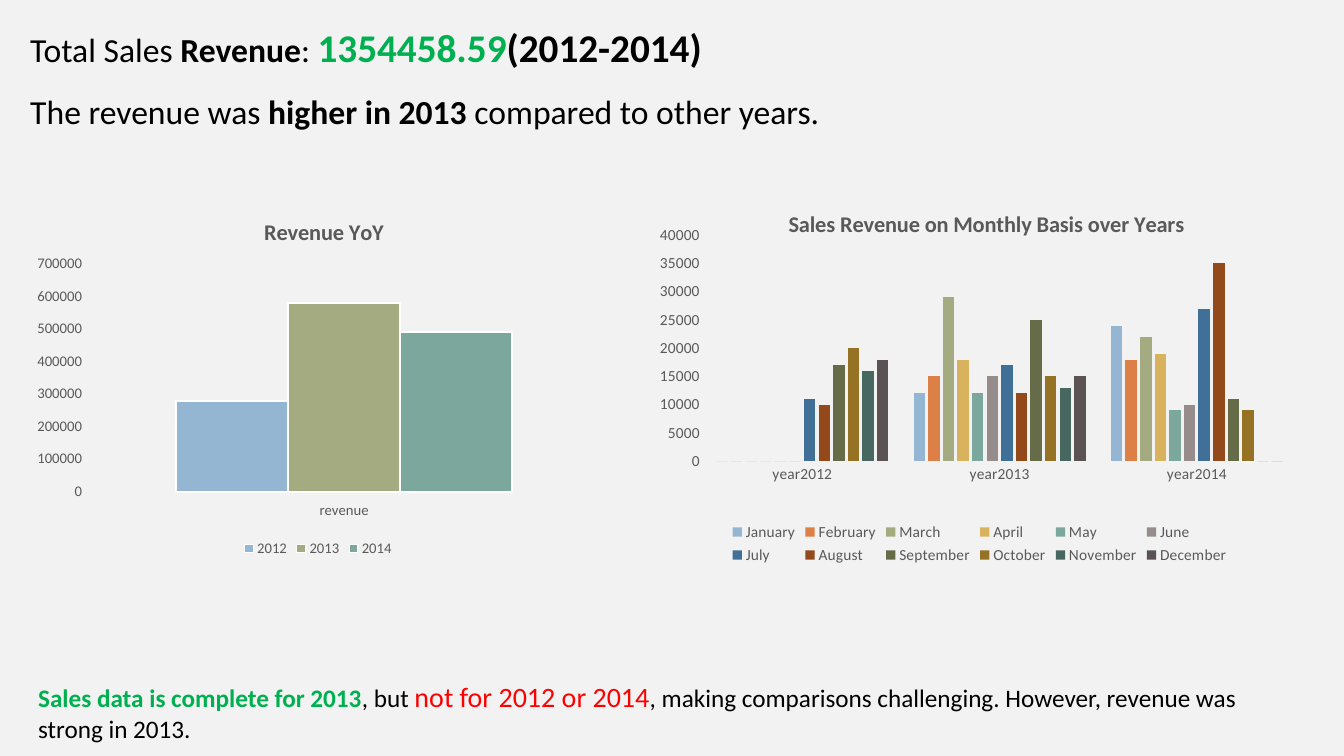
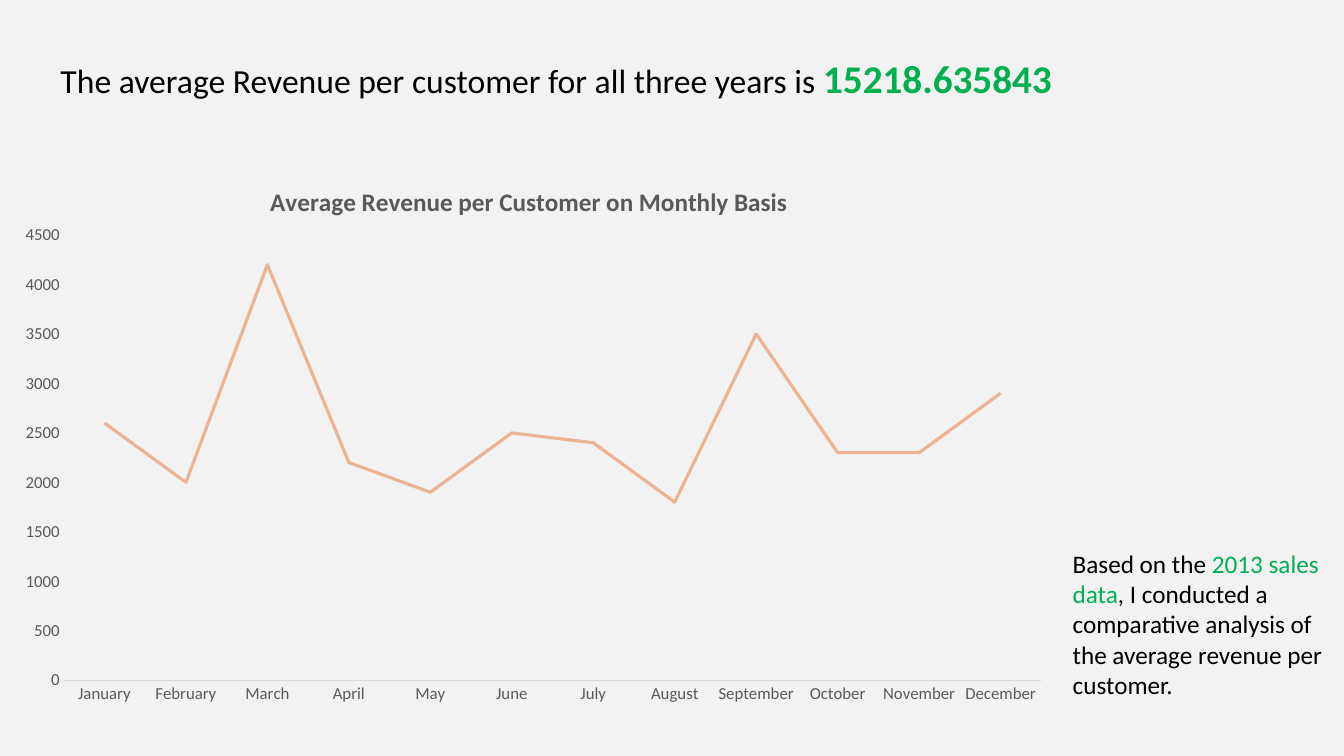
from dataclasses import dataclass

from pptx import Presentation
from pptx.chart.data import CategoryChartData
from pptx.dml.color import RGBColor
from pptx.enum.chart import XL_CHART_TYPE, XL_LEGEND_POSITION, XL_TICK_MARK
from pptx.enum.text import MSO_ANCHOR, PP_ALIGN
from pptx.oxml import parse_xml
from pptx.oxml.ns import nsdecls
from pptx.util import Inches, Pt


@dataclass(frozen=True)
class Theme:
    font: str = "Calibri"
    back: str = "F2F2F2"
    ink: str = "000000"
    good: str = "00B050"
    bad: str = "FF0000"
    gray: str = "595959"
    rule: str = "D9D9D9"
    white: str = "FFFFFF"
    peach: str = "EBB391"
    head: int = 24
    big: int = 28
    body: int = 18
    mid: int = 20


T = Theme()
MONTHS = ["January", "February", "March", "April", "May", "June", "July",
          "August", "September", "October", "November", "December"]
HUES = ["94B6D2", "DD8047", "A5AB81", "D8B25C", "7BA79D", "968C8C",
        "407097", "94491B", "676C48", "957224", "466860", "5B5353"]
SALES = [
    [0, 0, 0, 0, 0, 0, 11000, 10000, 17000, 20000, 16000, 18000],
    [12000, 15000, 29000, 18000, 12000, 15000,
     17000, 12000, 25000, 15000, 13000, 15000],
    [24000, 18000, 22000, 19000, 9000, 10000,
     27000, 35000, 11000, 9000, 0, 0],
]
YEARLY = {"2012": [280000], "2013": [580000], "2014": [490000]}
MEANS = [2600, 2000, 4200, 2200, 1900, 2500,
         2400, 1800, 3500, 2300, 2300, 2900]


def style(font, size, color, bold=False):
    font.name = T.font
    font.size = Pt(size)
    font.bold = bold
    font.color.rgb = RGBColor.from_string(color)


def write(shape, paras, space=1.0):
    frame = shape.text_frame
    frame.word_wrap = True
    frame.vertical_anchor = MSO_ANCHOR.TOP
    for num, runs in enumerate(paras):
        para = frame.add_paragraph() if num else frame.paragraphs[0]
        para.alignment = PP_ALIGN.LEFT
        para.line_spacing = space
        for text, *look in runs:
            run = para.add_run()
            run.text = text
            style(run.font, *look)


def head(slide, box, paras, space=1.0):
    title = slide.shapes.title
    title.left, title.top, title.width, title.height = map(Inches, box)
    write(title, paras, space)


def note(slide, box, runs):
    write(slide.shapes.add_textbox(*map(Inches, box)), [runs])


def place(parent, index, **spots):
    for old in parent.xpath("c:layout"):
        parent.remove(old)
    modes = "".join(f'<c:{key}Mode val="edge"/>' for key in "xy")
    sizes = "".join(f'<c:{key} val="{val}"/>' for key, val in spots.items())
    target = '<c:layoutTarget val="inner"/>' if "w" in spots else ""
    parent.insert(index, parse_xml(
        f'<c:layout {nsdecls("c")}><c:manualLayout>{target}{modes}{sizes}'
        '</c:manualLayout></c:layout>'))


def graph(slide, kind, box, cats, series, title, size, spot, plot, top, step,
          tick=XL_TICK_MARK.NONE):
    data = CategoryChartData()
    data.categories = cats
    for name, vals in series.items():
        data.add_series(name, vals)
    chart = slide.shapes.add_chart(kind, *map(Inches, box), data).chart
    text, points = title
    style(chart.font, size, T.ink)
    chart.has_title = True
    run = chart.chart_title.text_frame.paragraphs[0].add_run()
    run.text = text
    style(run.font, points, T.gray, True)
    root = chart.element
    place(root.xpath("c:chart/c:title")[0], 1, **dict(zip("xy", spot)))
    place(root.xpath("c:chart/c:plotArea")[0], 0, **dict(zip("xywh", plot)))
    for axis in (chart.category_axis, chart.value_axis):
        axis.has_major_gridlines = False
        axis.major_tick_mark = tick
        axis.minor_tick_mark = XL_TICK_MARK.NONE
        axis.format.line.fill.background()
        style(axis.tick_labels.font, size, T.gray)
    axis = chart.value_axis
    axis.minimum_scale, axis.maximum_scale, axis.major_unit = 0, top, step
    chart.has_legend = False
    return chart


def stroke(line, color, width):
    line.color.rgb = RGBColor.from_string(color)
    line.width = Pt(width)


def bars(chart, hues, gap, lap, size):
    plot = chart.plots[0]
    plot.gap_width, plot.overlap = gap, lap
    plot.vary_by_categories = False
    for item, hue in zip(plot.series, hues):
        item.format.fill.solid()
        item.format.fill.fore_color.rgb = RGBColor.from_string(hue)
    chart.has_legend = True
    chart.legend.position = XL_LEGEND_POSITION.BOTTOM
    chart.legend.include_in_layout = False
    style(chart.legend.font, size, T.gray)


def totals(slide):
    head(slide, (0.2, -0.05, 8.42, 1.34), [
        [("Total Sales ", T.head, T.ink),
         ("Revenue", T.head, T.ink, True),
         (": ", T.head, T.ink),
         ("1354458.59", T.big, T.good, True),
         ("(2012-2014)", T.big, T.ink, True)],
        [("The revenue was ", T.head, T.ink),
         ("higher in 2013", T.head, T.ink, True),
         (" compared to other years.", T.head, T.ink)],
    ], 1.5)
    note(slide, (0.28, 6.69, 12.77, 0.74), [
        ("Sales data is complete for 2013", T.body, T.good, True),
        (", but ", T.body, T.ink),
        ("not for 2012 or 2014", T.mid, T.bad),
        (", making comparisons challenging. However, revenue was strong "
         "in 2013.", T.body, T.ink)])
    kind = XL_CHART_TYPE.COLUMN_CLUSTERED
    chart = graph(slide, kind, (0.28, 1.93, 5.75, 3.64), ["revenue"], YEARLY,
                  ("Revenue YoY", 16), 10.5, (0.4, 0.05),
                  (0.11, 0.19, 0.87, 0.62), 700000, 100000,
                  XL_TICK_MARK.OUTSIDE)
    bars(chart, HUES[0:5:2], 150, 0, 10.5)
    for item in chart.plots[0].series:
        stroke(item.format.line, T.white, 1.5)
    chart = graph(slide, kind, (6.38, 1.84, 6.67, 3.8),
                  ["year2012", "year2013", "year2014"],
                  dict(zip(MONTHS, zip(*SALES))),
                  ("Sales Revenue on Monthly Basis over Years", 16), 11,
                  (0.21, 0.05), (0.09, 0.13, 0.88, 0.59), 40000, 5000)
    bars(chart, HUES, 219, -27, 11)


def means(slide):
    chart = graph(slide, XL_CHART_TYPE.LINE, (0, 1.56, 10.54, 5.52), MONTHS,
                  {"Series 1": MEANS},
                  ("Average Revenue per Customer on Monthly Basis", 18), 12,
                  (0.25, 0.04), (0.06, 0.14, 0.92, 0.8), 4500, 500)
    stroke(chart.category_axis.format.line, T.rule, 0.75)
    item = chart.plots[0].series[0]
    item.smooth = False
    stroke(item.format.line, T.peach, 2.25)
    head(slide, (0.5, 0.49, 12.59, 0.98), [
        [("The average Revenue per customer for all three years is ",
          T.head, T.ink),
         ("15218.635843", T.big, T.good, True)]])
    note(slide, (10.54, 5.39, 2.79, 1.62), [
        ("Based on the ", T.body, T.ink),
        ("2013 sales data", T.body, T.good),
        (", I conducted a comparative analysis of the average revenue per "
         "customer.", T.body, T.ink)])


def main():
    deck = Presentation()
    deck.slide_width, deck.slide_height = Inches(13.33), Inches(7.5)
    fill = deck.slide_master.background.fill
    fill.solid()
    fill.fore_color.rgb = RGBColor.from_string(T.back)
    for build in (totals, means):
        build(deck.slides.add_slide(deck.slide_layouts[5]))
    deck.save("out.pptx")


if __name__ == "__main__":
    main()
